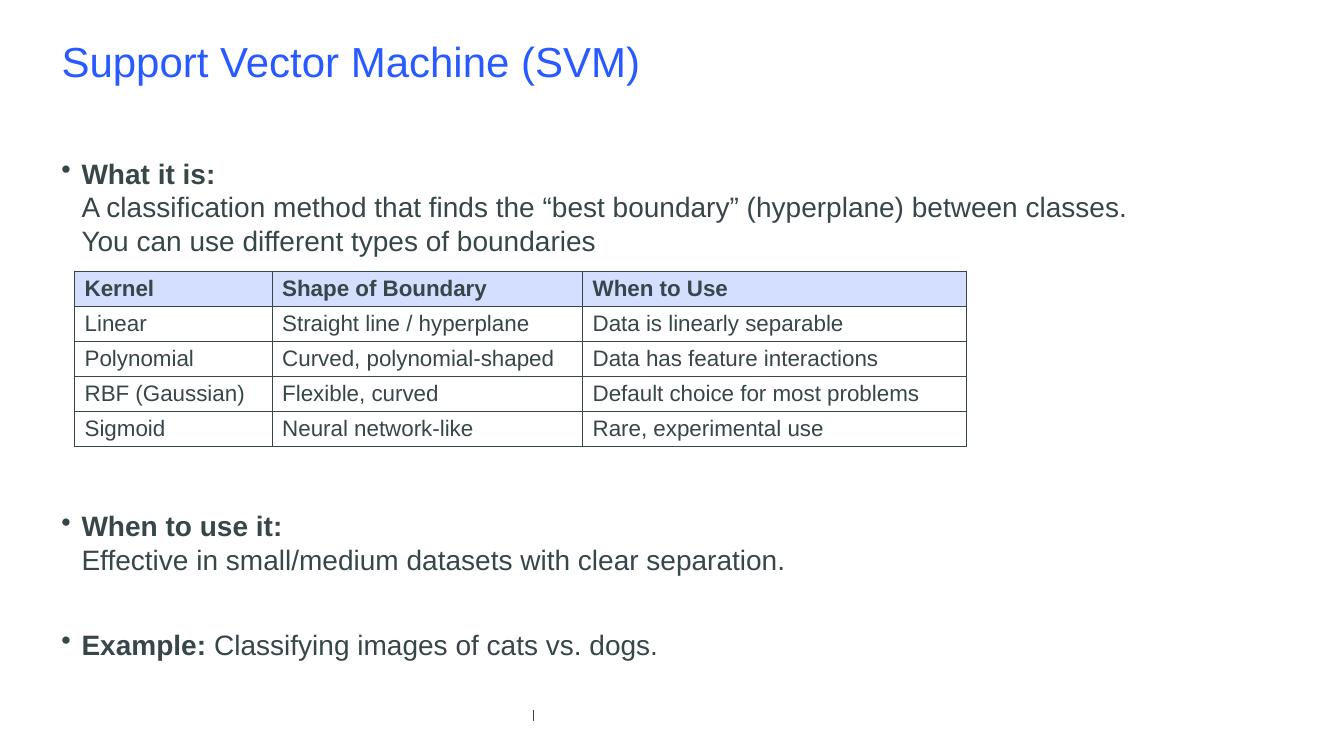
from lxml import etree
from pptx import Presentation
from pptx.dml.color import RGBColor
from pptx.enum.shapes import MSO_CONNECTOR
from pptx.enum.text import MSO_ANCHOR, MSO_AUTO_SIZE, PP_ALIGN
from pptx.oxml.ns import qn
from pptx.util import Inches, Pt

STRAIGHT = MSO_CONNECTOR.STRAIGHT
TOP, MIDDLE = MSO_ANCHOR.TOP, MSO_ANCHOR.MIDDLE
LEFT = PP_ALIGN.LEFT
FIXED = MSO_AUTO_SIZE.NONE

COLORS = {"ink": "374649", "blue": "285AFF", "pale": "D4DEFF"}

KERNELS = [
    ("Kernel", "Shape of Boundary", "When to Use"),
    ("Linear", "Straight line / hyperplane", "Data is linearly separable"),
    ("Polynomial", "Curved, polynomial-shaped", "Data has feature interactions"),
    ("RBF (Gaussian)", "Flexible, curved", "Default choice for most problems"),
    ("Sigmoid", "Neural network-like", "Rare, experimental use"),
]

POINTS = [
    (0, "What it is:", [
        "",
        "A classification method that finds the “best boundary” (hyperplane) between classes.",
        "You can use different types of boundaries",
    ]),
    (180, "When to use it:", [
        "",
        "Effective in small/medium datasets with clear separation.",
    ]),
    (36.5, "Example:", [" Classifying images of cats vs. dogs."]),
]


class Deck:
    def __init__(self):
        self.prs = Presentation()
        self.prs.slide_width = Inches(13.33)
        self.prs.slide_height = Inches(7.5)
        self.slide = self.prs.slides.add_slide(self.prs.slide_layouts[5])

    def x(self, share):
        return round(self.prs.slide_width * share / 100)

    def y(self, share):
        return round(self.prs.slide_height * share / 100)

    def box(self, left, top, width, height):
        return self.x(left), self.y(top), self.x(width), self.y(height)

    def font(self, para, size, color="ink", bold=None):
        font = para.font
        font.name = "Arial"
        font.size = Pt(size)
        font.bold = bold
        font.color.rgb = RGBColor.from_string(COLORS[color])

    def title(self, text, *area):
        shape = self.slide.shapes.title
        shape.left, shape.top, shape.width, shape.height = self.box(*area)
        frame = shape.text_frame
        frame.text = text
        frame.auto_size = FIXED
        frame.vertical_anchor = TOP
        frame.margin_top = Inches(0.08)
        para = frame.paragraphs[0]
        para.alignment = LEFT
        self.font(para, 30, "blue")

    def points(self, items, *area):
        frame = self.slide.shapes.add_textbox(*self.box(*area)).text_frame
        frame.word_wrap = True
        for i, (gap, head, lines) in enumerate(items):
            para = frame.add_paragraph() if i else frame.paragraphs[0]
            para.space_before = Pt(gap)
            para.line_spacing = Pt(24)
            self.font(para, 20)
            run = para.add_run()
            run.text = head
            run.font.bold = True
            for n, line in enumerate(lines):
                if n:
                    para.add_line_break()
                if line:
                    para.add_run().text = line
            self.bullet(para)

    def bullet(self, para):
        props = para._p.get_or_add_pPr()
        props.set("marL", str(Inches(0.2)))
        props.set("indent", str(-Inches(0.2)))
        mark = etree.Element(qn("a:buChar"), char="•")
        props.insert_element_before(mark, "a:tabLst", "a:defRPr", "a:extLst")

    def table(self, rows, left, top, widths, height):
        area = self.box(left, top, sum(widths), height * len(rows))
        table = self.slide.shapes.add_table(len(rows), len(widths), *area).table
        for col, width in zip(table.columns, widths):
            col.width = self.x(width)
        for r, row in enumerate(rows):
            table.rows[r].height = self.y(height)
            for c, text in enumerate(row):
                self.cell(table.cell(r, c), text, r == 0)

    def cell(self, cell, text, head):
        cell.text = text
        cell.vertical_anchor = MIDDLE
        cell.margin_top = cell.margin_bottom = Inches(0.04)
        self.font(cell.text_frame.paragraphs[0], 16, bold=head)
        props = cell._tc.get_or_add_tcPr()
        for side in ("lnL", "lnR", "lnT", "lnB"):
            line = etree.SubElement(props, qn(f"a:{side}"), w=str(Pt(1)))
            fill = etree.SubElement(line, qn("a:solidFill"))
            etree.SubElement(fill, qn("a:srgbClr"), val=COLORS["ink"])
        if head:
            cell.fill.solid()
            cell.fill.fore_color.rgb = RGBColor.from_string(COLORS["pale"])
        else:
            cell.fill.background()

    def line(self, x1, y1, x2, y2):
        ends = self.x(x1), self.y(y1), self.x(x2), self.y(y2)
        line = self.slide.shapes.add_connector(STRAIGHT, *ends)
        line.line.width = Pt(1)
        line.line.color.rgb = RGBColor.from_string(COLORS["ink"])
        etree.SubElement(line._element.spPr, qn("a:effectLst"))


def main():
    deck = Deck()
    deck.line(39.68, 93.87, 39.68, 95.33)
    deck.points(POINTS, 3.83, 20, 92.42, 69.73)
    deck.title("Support Vector Machine (SVM)", 3.83, 3.6, 79.74, 14.67)
    deck.table(KERNELS, 5.55, 35.87, (14.7, 23.1, 28.58), 4.64)
    deck.prs.save("out.pptx")


if __name__ == "__main__":
    main()
